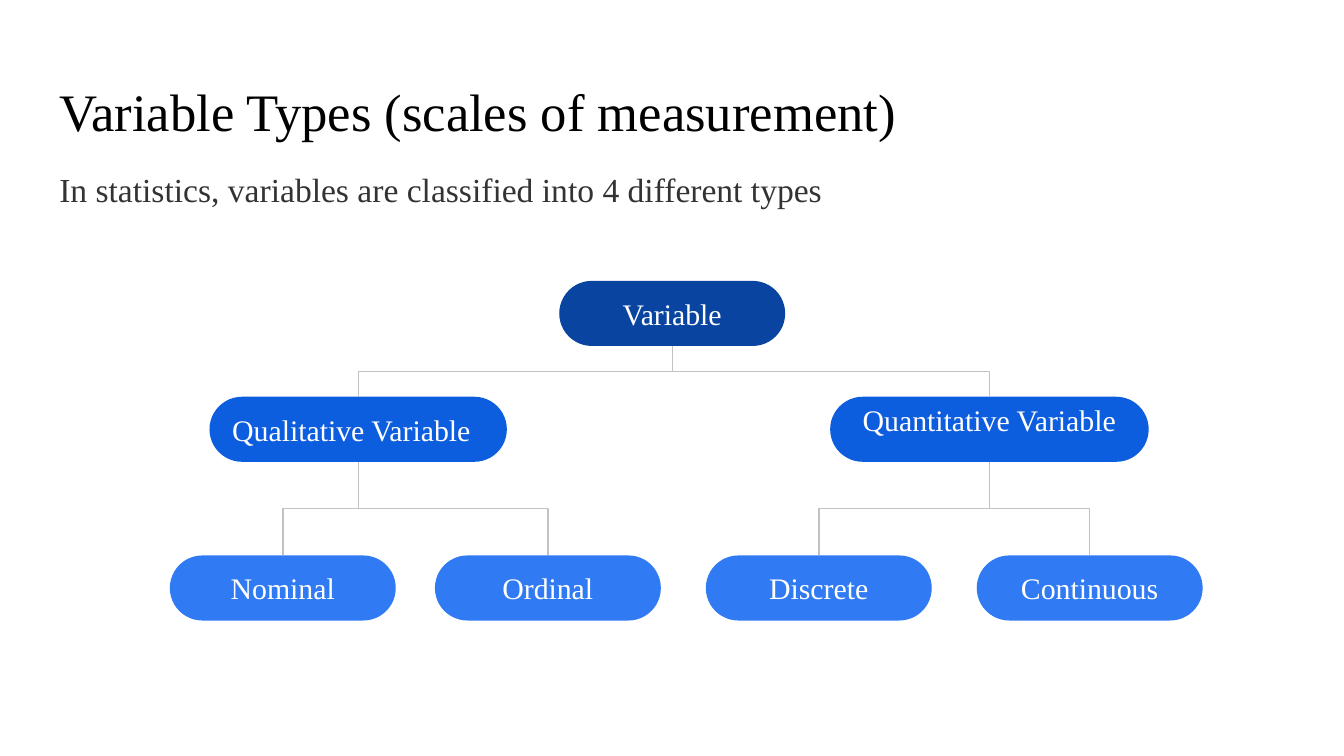
"""Build a slide with a tree of the variable types in statistics."""
import pptx
import pptx.dml.color
import pptx.enum.shapes
import pptx.enum.text
import pptx.oxml.ns
import pptx.oxml.xmlchemy
import pptx.util

Cm = pptx.util.Cm
Align = pptx.enum.text.PP_ALIGN
Anchor = pptx.enum.text.MSO_ANCHOR
qn = pptx.oxml.ns.qn

COLORS = {
    "title": "000000",
    "body": "333333",
    "label": "FFFFFF",
    "line": "C2C2C2",
    "root": "0944A1",
    "branch": "0D5DDF",
    "leaf": "307BF3",
}
FONT = "Times New Roman"
INSET = 0.25
NODE_HEIGHT = 1.23
ROW_TOPS = {"root": 5.31, "branch": 7.5, "leaf": 10.5}
NODES = [
    ("Variable", "root", 10.57, 4.27, None),
    ("Qualitative Variable", "branch", 3.96, 5.62, "Variable"),
    ("Quantitative Variable", "branch", 15.69, 6.02, "Variable"),
    ("Nominal", "leaf", 3.21, 4.27, "Qualitative Variable"),
    ("Ordinal", "leaf", 8.22, 4.27, "Qualitative Variable"),
    ("Discrete", "leaf", 13.34, 4.27, "Quantitative Variable"),
    ("Continuous", "leaf", 18.46, 4.27, "Quantitative Variable"),
]


def rgb(name):
    return pptx.dml.color.RGBColor.from_string(COLORS[name])


def write(shape, text, size, color, align, anchor):
    frame = shape.text_frame
    frame.word_wrap = True
    frame.auto_size = pptx.enum.text.MSO_AUTO_SIZE.NONE
    frame.vertical_anchor = anchor
    frame.margin_left = frame.margin_right = Cm(INSET)
    frame.margin_top = frame.margin_bottom = Cm(INSET)
    para = frame.paragraphs[0]
    para.alignment = align
    para.space_before = pptx.util.Pt(0)
    span = para.add_run()
    span.text = text
    span.font.name = FONT
    span.font.size = pptx.util.Pt(size)
    span.font.color.rgb = rgb(color)
    return para


deck = pptx.Presentation()
deck.slide_width, deck.slide_height = Cm(25.4), Cm(14.29)
page = deck.slides.add_slide(deck.slide_layouts[1])

title, body = page.placeholders
for holder, top, height in [(title, 1.24, 1.59), (body, 2.83, 10.36)]:
    holder.left, holder.top = Cm(0.87), Cm(top)
    holder.width, holder.height = Cm(23.67), Cm(height)
write(title, "Variable Types (scales of measurement)", 28.2, "title", Align.LEFT, Anchor.TOP)
intro = write(body, "In statistics, variables are classified into 4 different types",
              18, "body", Align.LEFT, Anchor.TOP)
intro.line_spacing = 1.15
properties = intro._p.get_or_add_pPr()
properties.set("marL", "0")
properties.set("indent", "0")
properties.append(pptx.oxml.xmlchemy.OxmlElement("a:buNone"))

boxes = {}
for label, level, left, width, parent in NODES:
    box = page.shapes.add_shape(
        pptx.enum.shapes.MSO_SHAPE.ROUNDED_RECTANGLE,
        Cm(left), Cm(ROW_TOPS[level]), Cm(width), Cm(NODE_HEIGHT))
    box.adjustments[0] = 0.5
    box.shadow.inherit = False
    box.fill.solid()
    box.fill.fore_color.rgb = rgb(level)
    box.line.fill.background()
    write(box, label, 16, "label", Align.CENTER, Anchor.MIDDLE)
    boxes[label] = box
boxes["Qualitative Variable"].text_frame.paragraphs[0].alignment = Align.LEFT
raised = boxes["Quantitative Variable"].text_frame
raised.margin_top, raised.margin_bottom = Cm(0), Cm(0.36)

for label, level, left, width, parent in NODES:
    if parent is None:
        continue
    upper, lower = boxes[parent], boxes[label]
    start_x, start_y = upper.left + upper.width // 2, upper.top + upper.height
    end_x, end_y = lower.left + lower.width // 2, lower.top
    rightward = end_x > start_x
    link = page.shapes.add_connector(
        pptx.enum.shapes.MSO_CONNECTOR.ELBOW, start_x, start_y, end_x, end_y)
    if rightward:
        link.begin_connect(upper, 2)
        link.end_connect(lower, 0)
    else:
        link.begin_connect(lower, 0)
        link.end_connect(upper, 2)
    link.width, link.height = end_y - start_y, abs(end_x - start_x)
    link.left = (start_x + end_x - link.width) // 2
    link.top = (start_y + end_y - link.height) // 2
    transform = link._element.spPr.find(qn("a:xfrm"))
    transform.set("rot", str(270 * 60000))
    transform.set("flipH", str(int(rightward)))
    transform.set("flipV", "0")
    link.line.color.rgb = rgb("line")
    link.line.width = pptx.util.Pt(0.75)
    link._element.spPr.append(pptx.oxml.xmlchemy.OxmlElement("a:effectLst"))

deck.save("out.pptx")
